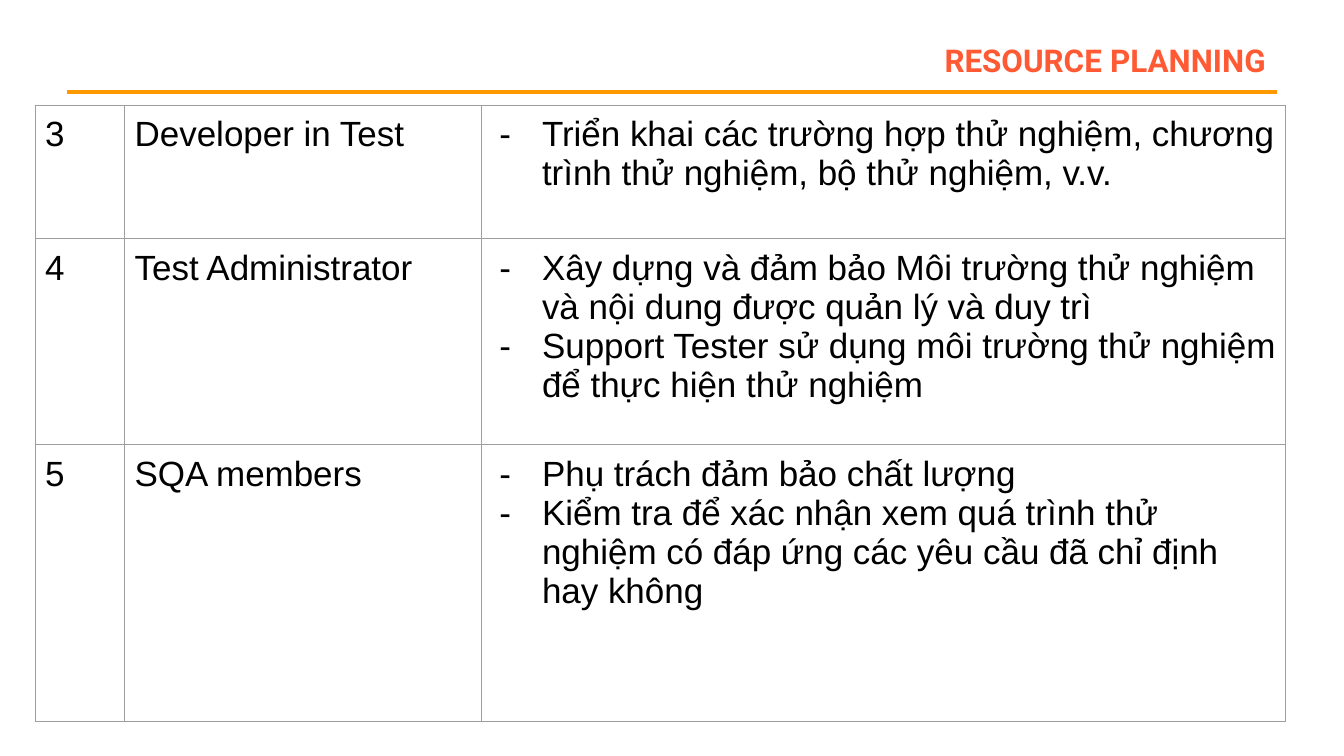
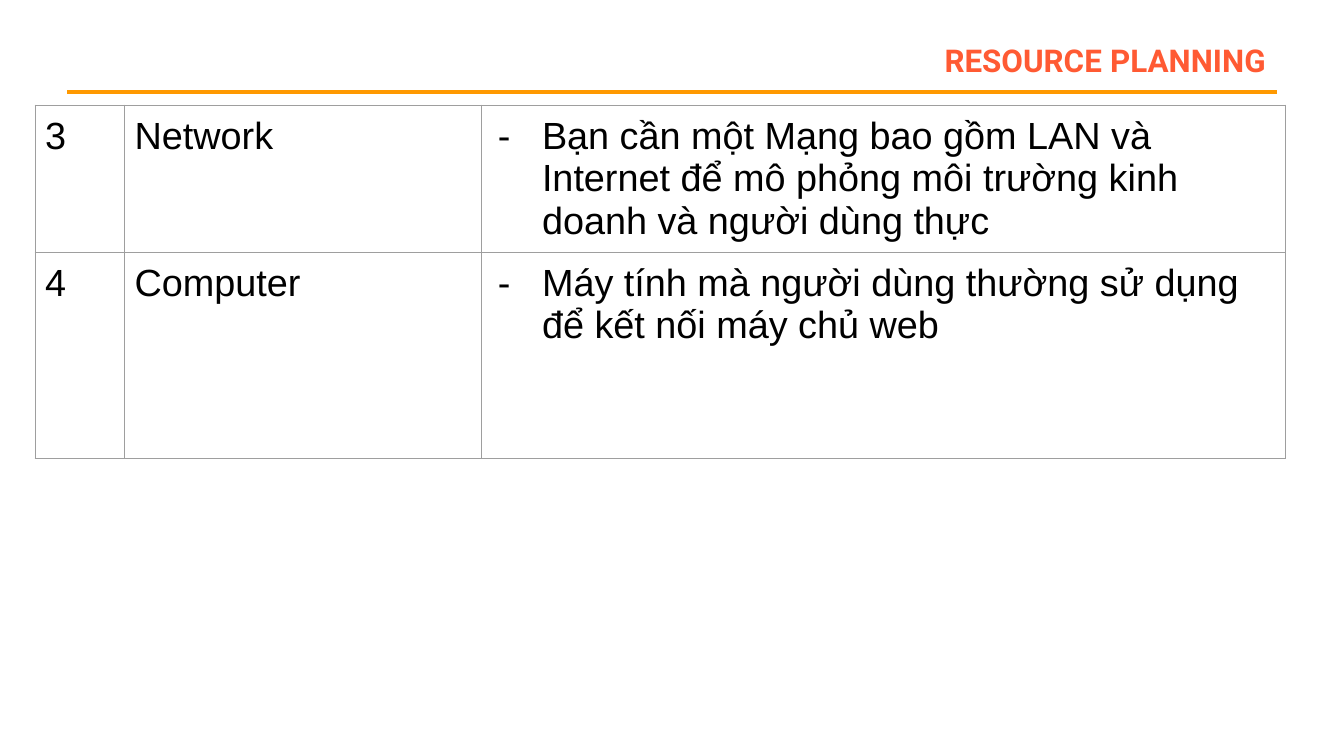
from dataclasses import dataclass

from pptx import Presentation
from pptx.dml.color import RGBColor
from pptx.enum.shapes import MSO_CONNECTOR
from pptx.enum.text import MSO_ANCHOR, PP_ALIGN
from pptx.oxml import parse_xml
from pptx.oxml.ns import nsdecls
from pptx.util import Pt


@dataclass(frozen=True)
class Theme:
    orange: str = "FF9900"
    coral: str = "FF5A33"
    grey: str = "9E9E9E"
    black: str = "000000"
    head: str = "Roboto"
    body: str = "Arial"
    title: int = 28
    rule: float = 3
    border: float = 0.75
    pad: float = 7.2
    indent: float = 36


THEME = Theme()
WIDTH, HEIGHT = 960, 540
TITLE = (175.5, 21.5, 736, 38)
RULE = (48, 66, 912, 66)
TABLE = (25, 75)
COLS = (64, 255, 574.5)

STAFF = [
    (95.5, "3", "Developer in Test", [
        "Triển khai các trường hợp thử nghiệm, chương trình thử nghiệm, "
        "bộ thử nghiệm, v.v."]),
    (147, "4", "Test Administrator", [
        "Xây dựng và đảm bảo Môi trường thử nghiệm và nội dung được "
        "quản lý và duy trì",
        "Support Tester sử dụng môi trường thử nghiệm để thực hiện "
        "thử nghiệm"]),
    (198, "5", "SQA members", [
        "Phụ trách đảm bảo chất lượng",
        "Kiểm tra để xác nhận xem quá trình thử nghiệm có đáp ứng các "
        "yêu cầu đã chỉ định hay không"]),
]
SYSTEM = [
    (95.5, "3", "Network", [
        "Bạn cần một Mạng bao gồm LAN và Internet để mô phỏng môi trường "
        "kinh doanh và người dùng thực"]),
    (147, "4", "Computer", [
        "Máy tính mà người dùng thường sử dụng để kết nối máy chủ web"]),
]


def assign(item, values):
    for name, value in values.items():
        setattr(item, name, value)


def write(para, text, color, **style):
    run = para.add_run()
    run.text = text
    assign(run.font, style)
    run.font.color.rgb = RGBColor.from_string(color)
    return run


def add_rule(layout, slide, box):
    """Draw the title rule and move it to the layout, so all slides share it."""
    line = slide.shapes.add_connector(MSO_CONNECTOR.STRAIGHT, *map(Pt, box))
    line.line.width = Pt(THEME.rule)
    line.line.color.rgb = RGBColor.from_string(THEME.orange)
    line.element.spPr.append(parse_xml(f"<a:effectLst {nsdecls('a')}/>"))
    layout.shapes.element.append(line.element)


def set_title(slide, text, box):
    title = slide.shapes.title
    assign(title, dict(zip(("left", "top", "width", "height"), map(Pt, box))))
    frame = title.text_frame
    assign(frame, {"vertical_anchor": MSO_ANCHOR.MIDDLE, "word_wrap": True})
    para = frame.paragraphs[0]
    para.alignment = PP_ALIGN.RIGHT
    run = write(para, text, THEME.coral, name=THEME.head,
                size=Pt(THEME.title), bold=True)
    run.font._element.set("cap", "small")


def add_dash(para, size):
    """Give a dash with a hanging indent that grows with the text size."""
    props = para._p.get_or_add_pPr()
    props.set("marL", str(Pt(THEME.indent)))
    props.set("indent", str(-Pt(18 + size / 2)))
    for part in (f'<a:buClr {nsdecls("a")}><a:srgbClr val="{THEME.black}"/></a:buClr>',
                 f'<a:buFont {nsdecls("a")} typeface="{THEME.body}"/>',
                 f'<a:buChar {nsdecls("a")} char="-"/>'):
        props.append(parse_xml(part))


def style_cell(cell):
    sides = ("left", "right", "top", "bottom")
    assign(cell, {f"margin_{side}": Pt(THEME.pad) for side in sides})
    props = cell._tc.get_or_add_tcPr()
    for side in sides:
        props.append(parse_xml(
            f'<a:ln{side[0].upper()} {nsdecls("a")} w="{Pt(THEME.border)}">'
            f'<a:solidFill><a:srgbClr val="{THEME.grey}"/></a:solidFill>'
            f'</a:ln{side[0].upper()}>'))
    cell.fill.background()


def fill_cell(cell, lines, size, dash):
    style_cell(cell)
    frame = cell.text_frame
    for num, text in enumerate(lines):
        para = frame.add_paragraph() if num else frame.paragraphs[0]
        if dash:
            add_dash(para, size)
        write(para, text, THEME.black, name=THEME.body, size=Pt(size))


def add_grid(slide, rows, size, spot):
    left, top = spot
    high = sum(row[0] for row in rows)
    table = slide.shapes.add_table(
        len(rows), len(COLS), Pt(left), Pt(top), Pt(sum(COLS)), Pt(high)).table
    assign(table, {"first_row": False, "horz_banding": False})
    for col, wide in zip(table.columns, COLS):
        col.width = Pt(wide)
    for row, (tall, num, role, tasks) in zip(table.rows, rows):
        row.height = Pt(tall)
        for cell, lines in zip(row.cells, ([num], [role], tasks)):
            fill_cell(cell, lines, size, dash=lines is tasks)


def add_page(deck, layout, rows, size):
    slide = deck.slides.add_slide(layout)
    set_title(slide, "resource planning", TITLE)
    add_grid(slide, rows, size, TABLE)
    return slide


def main():
    deck = Presentation()
    assign(deck, {"slide_width": Pt(WIDTH), "slide_height": Pt(HEIGHT)})
    layout = deck.slide_layouts.get_by_name("Title Only")
    first = add_page(deck, layout, STAFF, 25)
    add_rule(layout, first, RULE)
    add_page(deck, layout, SYSTEM, 27)
    deck.save("out.pptx")


if __name__ == "__main__":
    main()
